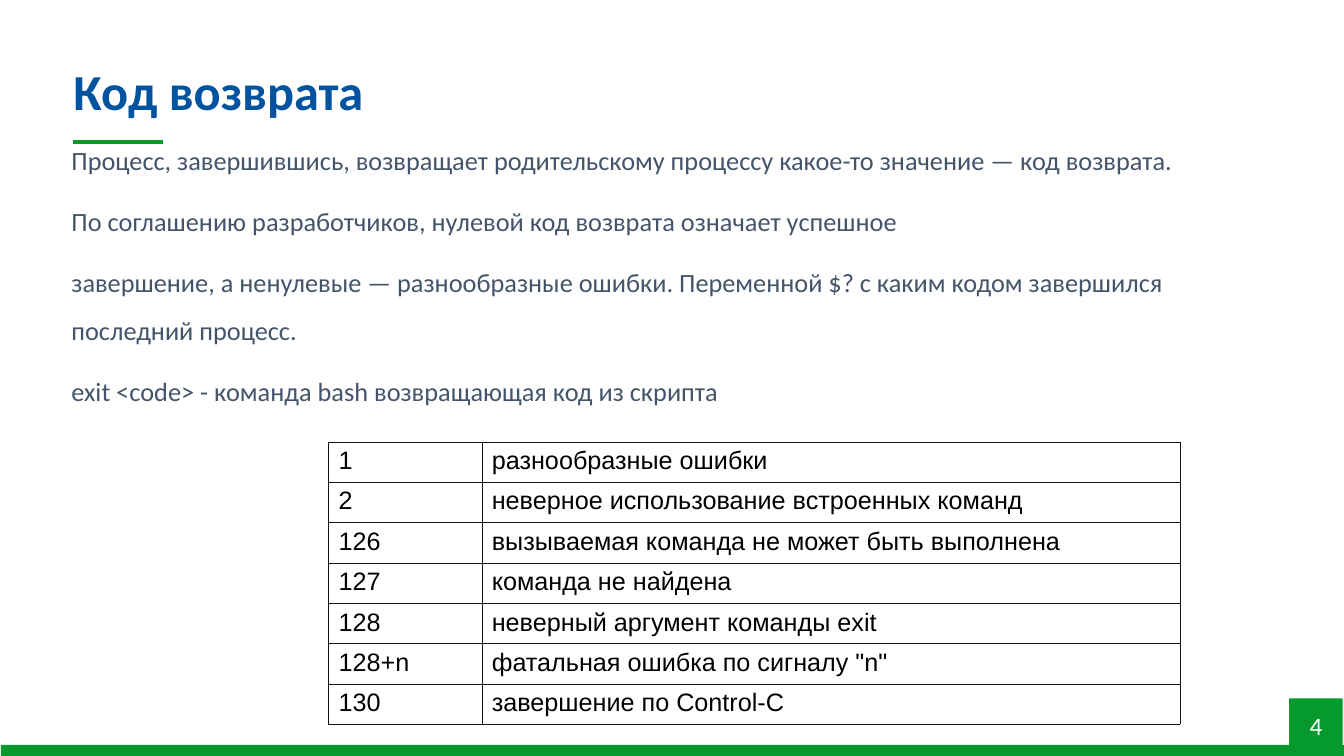
from lxml import etree
from pptx import Presentation
from pptx.dml.color import RGBColor
from pptx.enum.shapes import MSO_CONNECTOR, MSO_SHAPE
from pptx.enum.text import MSO_ANCHOR, PP_ALIGN
from pptx.oxml import parse_xml
from pptx.oxml.ns import nsdecls, qn
from pptx.util import Cm, Pt

RECTANGLE = MSO_SHAPE.RECTANGLE
STRAIGHT = MSO_CONNECTOR.STRAIGHT
MIDDLE = MSO_ANCHOR.MIDDLE
LEFT, CENTER = PP_ALIGN.LEFT, PP_ALIGN.CENTER

EXPLANATION = [
    "Процесс, завершившись, возвращает родительскому процессу какое-то значение — код возврата.",
    "По соглашению разработчиков, нулевой код возврата означает успешное",
    "завершение, а ненулевые — разнообразные ошибки. "
    "Переменной $? с каким кодом завершился последний процесс.",
    "exit <code> - команда bash возвращающая код из скрипта",
]
EXIT_CODES = [
    ("1", "разнообразные ошибки"),
    ("2", "неверное использование встроенных команд"),
    ("126", "вызываемая команда не может быть выполнена"),
    ("127", "команда не найдена"),
    ("128", "неверный аргумент команды exit"),
    ("128+n", 'фатальная ошибка по сигналу "n"'),
    ("130", "завершение по Control-C"),
]


def rgb(value):
    return RGBColor.from_string(value)


def write(frame, paragraphs, size=18, color="000000", font="Calibri", bold=False,
          align=LEFT, spacing=1.0, before=0):
    for index, text in enumerate(paragraphs):
        paragraph = frame.add_paragraph() if index else frame.paragraphs[0]
        paragraph.alignment = align
        paragraph.line_spacing = spacing
        paragraph.space_before = Pt(before)
        run = paragraph.add_run()
        run.text = text
        run.font.name = font
        run.font.size = Pt(size)
        run.font.bold = bold
        run.font.color.rgb = rgb(color)


class SlideBuilder:
    """Draws elements in the lecture style on the current slide."""

    green, blue, slate = "069A2E", "00549F", "44546A"
    white, border = "FFFFFF", "111111"

    def __init__(self, slide):
        self.slide = slide

    def block(self, left, top, width, height):
        block = self.slide.shapes.add_shape(
            RECTANGLE, Cm(left), Cm(top), Cm(width), Cm(height))
        block.shadow.inherit = False
        block.fill.solid()
        block.fill.fore_color.rgb = rgb(self.green)
        block.line.fill.background()
        return block

    def rule(self, left, top, length):
        rule = self.slide.shapes.add_connector(
            STRAIGHT, Cm(left), Cm(top), Cm(left + length), Cm(top))
        rule.line.color.rgb = rgb(self.green)
        rule.line.width = Pt(3)
        etree.SubElement(rule._element.spPr, qn("a:effectLst"))

    def text(self, left, top, width, height, paragraphs, **style):
        box = self.slide.shapes.add_textbox(Cm(left), Cm(top), Cm(width), Cm(height))
        box.text_frame.word_wrap = True
        write(box.text_frame, paragraphs, **style)

    def outline(self, cell):
        properties = cell._tc.get_or_add_tcPr()
        for index, side in enumerate(("lnL", "lnR", "lnT", "lnB")):
            properties.insert(index, parse_xml(
                f'<a:{side} {nsdecls("a")} w="{Pt(0.06)}"><a:solidFill>'
                f'<a:srgbClr val="{self.border}"/></a:solidFill></a:{side}>'))

    def table(self, left, top, widths, row_height, rows):
        table = self.slide.shapes.add_table(
            len(rows), len(widths), Cm(left), Cm(top),
            Cm(sum(widths)), Cm(row_height * len(rows))).table
        table.first_row = table.horz_banding = False
        for column, width in zip(table.columns, widths):
            column.width = Cm(width)
        for row, values in zip(table.rows, rows):
            row.height = Cm(row_height)
            for cell, value in zip(row.cells, values):
                cell.fill.solid()
                cell.fill.fore_color.rgb = rgb(self.white)
                self.outline(cell)
                write(cell.text_frame, [value], font="Arial")


presentation = Presentation()
presentation.slide_width, presentation.slide_height = Cm(33.87), Cm(19.05)
builder = SlideBuilder(presentation.slides.add_slide(presentation.slide_layouts[6]))

builder.block(0.02, 18.77, 33.85, 0.3)
page_number = builder.block(32.49, 17.6, 1.35, 1.35).text_frame
page_number.vertical_anchor = MIDDLE
write(page_number, ["4"], color=builder.white, align=CENTER)
builder.rule(1.83, 3.58, 2.28)
builder.text(1.6, 1.57, 29.92, 1.42, ["Код возврата"],
             size=36, color=builder.blue, bold=True, spacing=0.9)
builder.text(1.55, 3.1, 29.46, 8, EXPLANATION,
             size=18.8, color=builder.slate, spacing=1.5, before=10)
builder.table(8.28, 11.13, (3.86, 17.6), 0.97, EXIT_CODES)

presentation.save("out.pptx")
